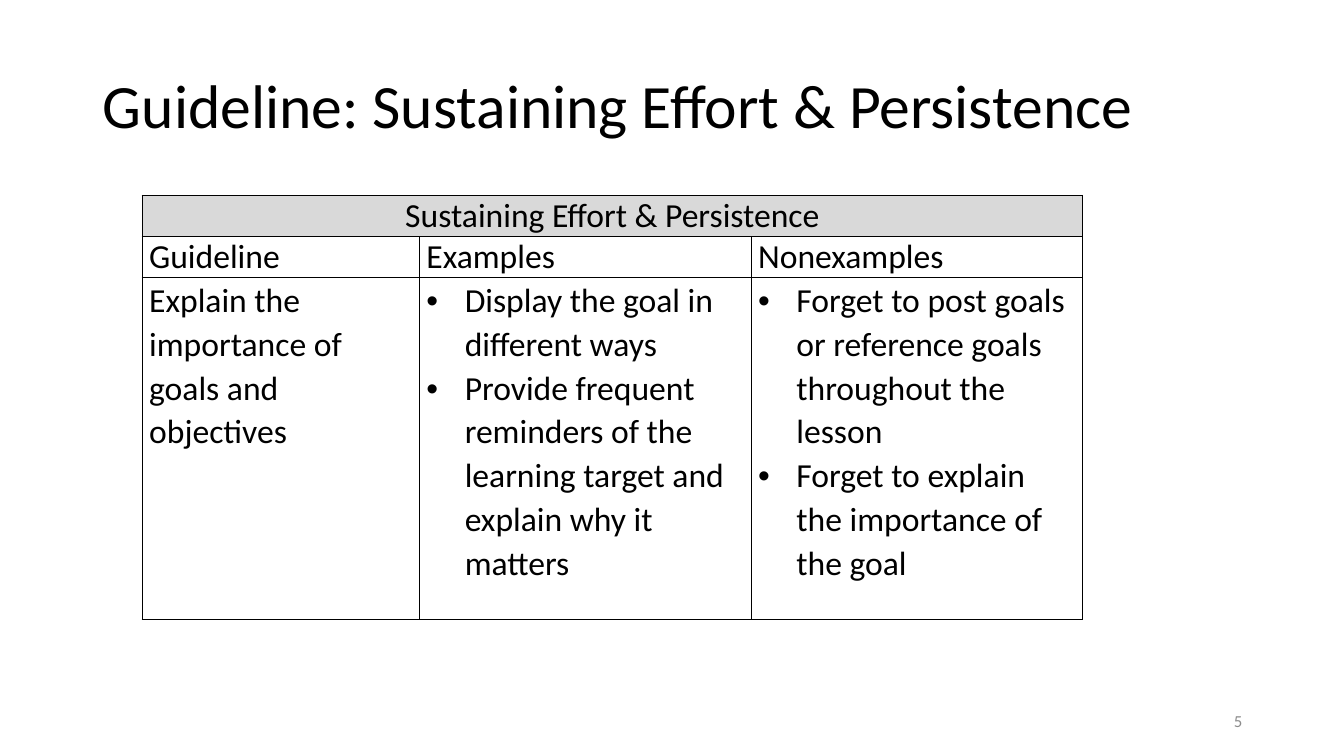
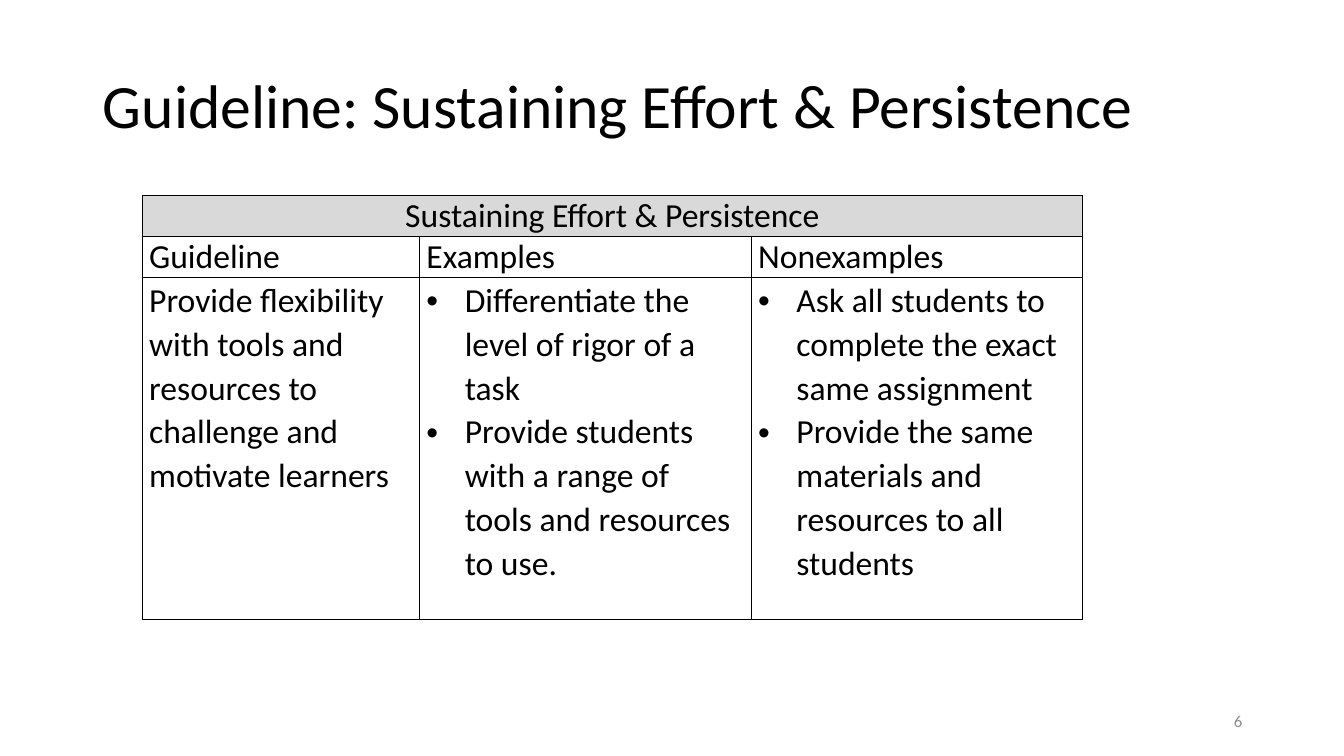
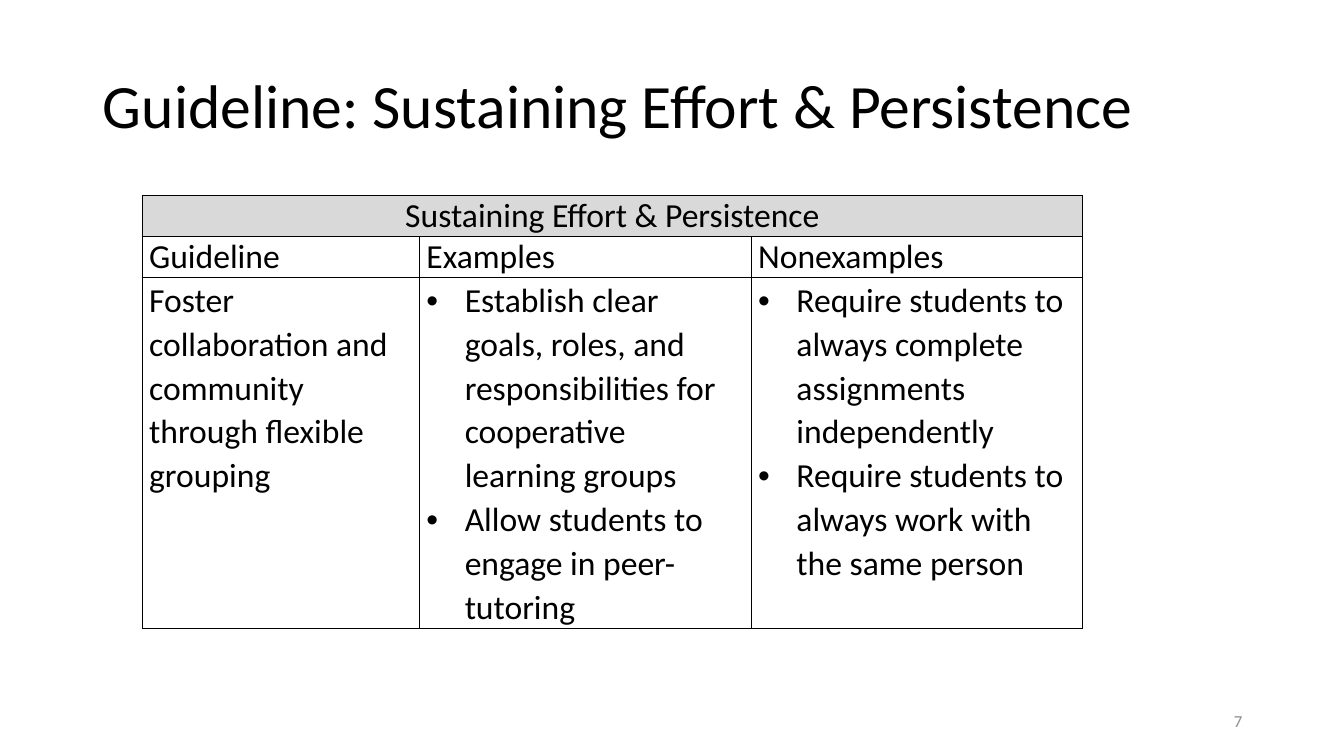
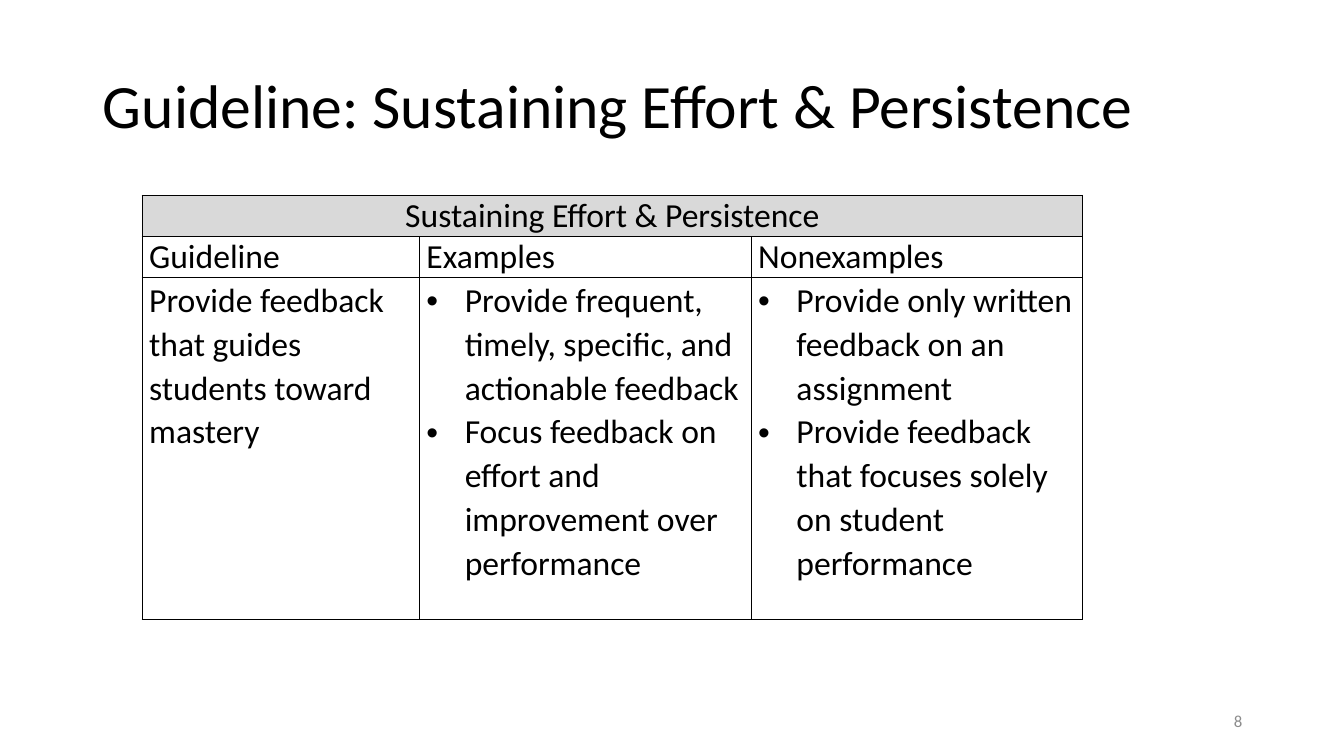
from lxml import etree
from pptx import Presentation
from pptx.dml.color import RGBColor
from pptx.enum.text import MSO_ANCHOR as Anchor, MSO_AUTO_SIZE as AutoSize, PP_ALIGN as Align
from pptx.oxml.ns import qn
from pptx.util import Inches, Pt

# Shared look
FONT = "Calibri"
BLACK = RGBColor(0x00, 0x00, 0x00)
GREY = RGBColor(0x8C, 0x8C, 0x8C)
BAND = RGBColor(0xD9, 0xD9, 0xD9)

# Shared boxes: left, top, width, height in inches
SLIDE_SIZE = (13.33, 7.5)
TITLE_BOX = (0.92, 0.35, 11.5, 1.45)
TABLE_BOX = (1.41, 1.94, 9.33, 4.01)
NUMBER_BOX = (9.42, 6.95, 3, 0.4)

COLUMNS = (2.75, 3.29, 3.29)
ROWS = (0.31, 0.31, 3.39)
CELL_INSET = 0.07
BULLET_INDENT = 0.38

TOPIC = "Sustaining Effort & Persistence"
HEADINGS = ("Guideline", "Examples", "Nonexamples")
FIRST_NUMBER = 5

# One entry a slide: guideline, examples, nonexamples
GUIDELINES = [
    ("Explain the importance of goals and objectives",
     ["Display the goal in different ways",
      "Provide frequent reminders of the learning target and explain why it matters"],
     ["Forget to post goals or reference goals throughout the lesson",
      "Forget to explain the importance of the goal"]),
    ("Provide flexibility with tools and resources to challenge and motivate learners",
     ["Differentiate the level of rigor of a task",
      "Provide students with a range of tools and resources to use."],
     ["Ask all students to complete the exact same assignment",
      "Provide the same materials and resources to all students"]),
    ("Foster collaboration and community through flexible grouping",
     ["Establish clear goals, roles, and responsibilities for cooperative learning groups",
      "Allow students to engage in peer-tutoring"],
     ["Require students to always complete assignments independently",
      "Require students to always work with the same person"]),
    ("Provide feedback that guides students toward mastery",
     ["Provide frequent, timely, specific, and actionable feedback",
      "Focus feedback on effort and improvement over performance"],
     ["Provide only written feedback on an assignment",
      "Provide feedback that focuses solely on student performance"]),
]


def inches(box):
    return [Inches(length) for length in box]


def add_bullet(para):
    props = para._p.get_or_add_pPr()
    props.set("marL", str(Inches(BULLET_INDENT)))
    props.set("indent", str(-Inches(BULLET_INDENT)))
    etree.SubElement(props, qn("a:buFont"), typeface="Arial")
    etree.SubElement(props, qn("a:buChar"), char="•")


def write(frame, text, size=24, color=BLACK, align=Align.LEFT, spacing=None, bullet=False):
    """Fill a text frame with one paragraph, or with one for each item of a list."""
    frame.word_wrap = True
    for index, line in enumerate([text] if isinstance(text, str) else text):
        para = frame.add_paragraph() if index else frame.paragraphs[0]
        para.alignment = align
        if spacing:
            para.line_spacing = spacing
        if bullet:
            add_bullet(para)
        span = para.add_run()
        span.text = line
        span.font.name = FONT
        span.font.size = Pt(size)
        span.font.color.rgb = color


def format_cell(cell, fill=None):
    cell.margin_left = cell.margin_right = Inches(CELL_INSET)
    cell.margin_top = cell.margin_bottom = 0
    if fill is None:
        cell.fill.background()
    else:
        cell.fill.solid()
        cell.fill.fore_color.rgb = fill
    # Borders come before the fill
    props = cell._tc.get_or_add_tcPr()
    for index, side in enumerate(("lnL", "lnR", "lnT", "lnB")):
        line = etree.Element(qn(f"a:{side}"), w=str(Pt(1)))
        paint = etree.SubElement(line, qn("a:solidFill"))
        etree.SubElement(paint, qn("a:srgbClr"), val=str(BLACK))
        props.insert(index, line)


def add_title(page, box, text):
    title = page.shapes.title
    title.left, title.top, title.width, title.height = inches(box)
    frame = title.text_frame
    frame.auto_size = AutoSize.NONE
    frame.vertical_anchor = Anchor.MIDDLE
    write(frame, text, size=44, spacing=0.9)


def add_guideline_table(page, box, guideline, examples, nonexamples):
    table = page.shapes.add_table(len(ROWS), len(COLUMNS), *inches(box)).table
    table.first_row = table.horz_banding = False
    for column, width in zip(table.columns, COLUMNS):
        column.width = Inches(width)
    for index, height in enumerate(ROWS):
        table.rows[index].height = Inches(height)
        for cell in table.rows[index].cells:
            format_cell(cell, fill=None if index else BAND)

    # Topic band, headings, then the content row
    table.cell(0, 0).merge(table.cell(0, len(COLUMNS) - 1))
    write(table.cell(0, 0).text_frame, TOPIC, align=Align.CENTER)
    for index, (heading, content) in enumerate(zip(HEADINGS, (guideline, examples, nonexamples))):
        write(table.cell(1, index).text_frame, heading)
        write(table.cell(2, index).text_frame, content, spacing=1.07, bullet=index > 0)


def add_number(page, box, number):
    frame = page.shapes.add_textbox(*inches(box)).text_frame
    frame.vertical_anchor = Anchor.MIDDLE
    write(frame, str(number), size=12, color=GREY, align=Align.RIGHT)


def main():
    deck = Presentation()
    deck.slide_width, deck.slide_height = inches(SLIDE_SIZE)
    title_only = deck.slide_layouts[5]
    for number, entry in enumerate(GUIDELINES, FIRST_NUMBER):
        page = deck.slides.add_slide(title_only)
        add_title(page, TITLE_BOX, f"Guideline: {TOPIC}")
        add_guideline_table(page, TABLE_BOX, *entry)
        add_number(page, NUMBER_BOX, number)
    deck.save("out.pptx")


if __name__ == "__main__":
    main()
